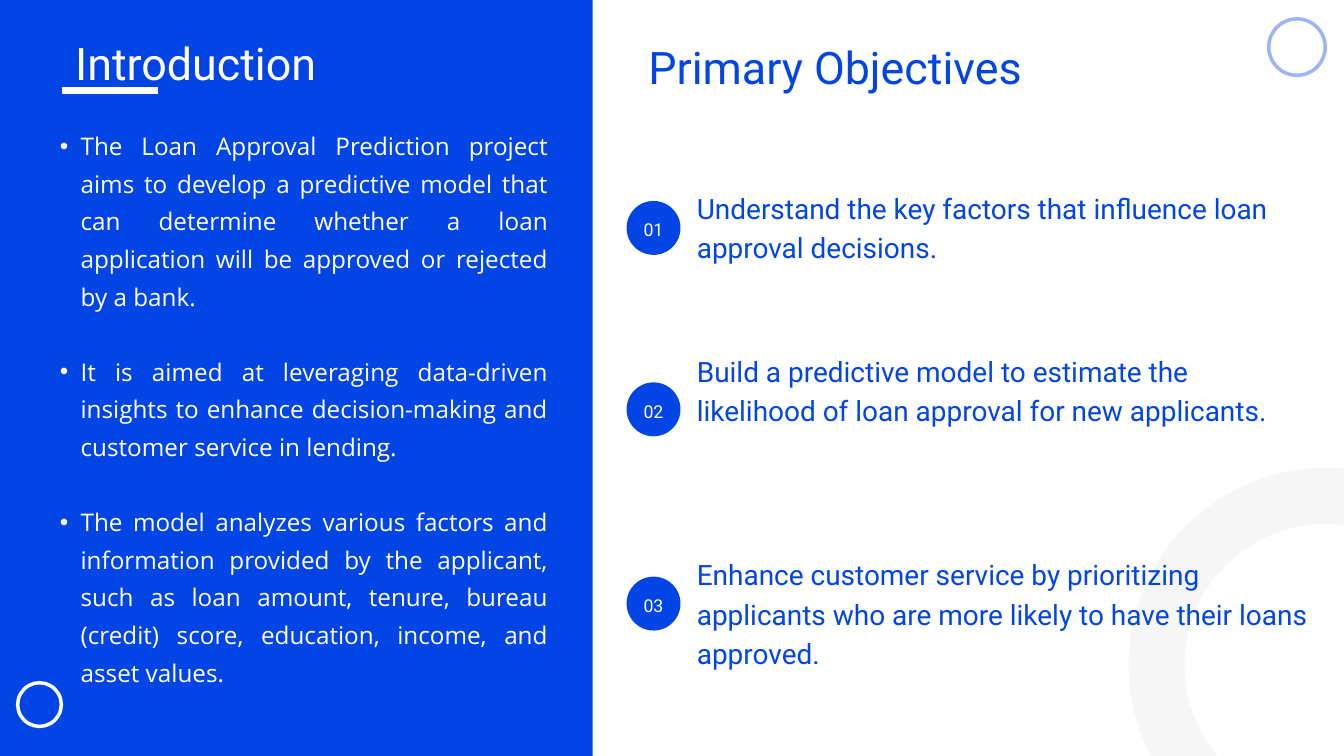
"""Build the introduction and primary objectives slide."""
from lxml.etree import SubElement
from pptx import Presentation
from pptx.dml.color import RGBColor
from pptx.enum.shapes import MSO_CONNECTOR, MSO_SHAPE
from pptx.enum.text import MSO_ANCHOR, PP_ALIGN
from pptx.oxml.ns import qn
from pptx.util import Pt

COLORS = {"blue": "0345E4", "white": "FFFFFF", "ring": "F6F6F6"}

FORMATS = {
    "title": {"name": "Roboto", "size": Pt(48)},
    "body": {"name": "Open Sans", "size": Pt(26)},
    "number": {"name": "Roboto", "size": Pt(19)},
    "objective": {"name": "Roboto", "size": Pt(30)},
}
LINE_SPACING = {"title": 67.2, "body": 40.3, "number": 26.6, "objective": 42}

INTRODUCTION = [
    "The Loan Approval Prediction project aims to develop a predictive model that can "
    "determine whether a loan application will be approved or rejected by a bank.",
    "It is aimed at leveraging data-driven insights to enhance decision-making and "
    "customer service in lending.",
    "The model analyzes various factors and information provided by the applicant, such as "
    "loan amount, tenure, bureau (credit) score, education, income, and asset values.",
]

OBJECTIVES = [
    (215.3, 199.4, 125, "Understand the key factors that influence loan approval decisions."),
    (409.7, 373.7, 163, "Build a predictive model to estimate the likelihood of loan approval "
                        "for new applicants."),
    (617.8, 591.8, 163, "Enhance customer service by prioritizing applicants who are more "
                        "likely to have their loans approved."),
]


def color(name):
    """Return the named colour as RGB."""
    return RGBColor.from_string(COLORS[name])


def set_insets(text_frame):
    """Remove the inner margins and wrap the text."""
    values = {"margin_left": 0, "margin_right": 0, "margin_top": 0, "margin_bottom": 0,
              "word_wrap": True}
    for name, value in values.items():
        setattr(text_frame, name, value)


def write_paragraph(paragraph, text, style, color_name, alignment=PP_ALIGN.LEFT):
    """Write text into a paragraph with a named style."""
    paragraph.text = text
    paragraph.alignment = alignment
    paragraph.line_spacing = Pt(LINE_SPACING[style])
    for name, value in FORMATS[style].items():
        setattr(paragraph.font, name, value)
    paragraph.font.color.rgb = color(color_name)


def add_text(slide, left, top, width, height, text, style, color_name):
    """Add a text box with one paragraph."""
    box = slide.shapes.add_textbox(Pt(left), Pt(top), Pt(width), Pt(height))
    set_insets(box.text_frame)
    write_paragraph(box.text_frame.paragraphs[0], text, style, color_name)


def add_bullets(slide, left, top, width, height, items):
    """Add a justified bullet list with a line of space between items."""
    box = slide.shapes.add_textbox(Pt(left), Pt(top), Pt(width), Pt(height))
    set_insets(box.text_frame)
    for index, item in enumerate(items):
        paragraph = box.text_frame.add_paragraph() if index else box.text_frame.paragraphs[0]
        properties = paragraph._p.get_or_add_pPr()
        properties.set("marL", str(Pt(43.9)))
        properties.set("indent", str(-Pt(22.3)))
        SubElement(properties, qn("a:buFont"), typeface="Arial")
        SubElement(properties, qn("a:buChar"), char="•")
        write_paragraph(paragraph, item, "body", "white", PP_ALIGN.JUSTIFY)
        if index:
            paragraph.space_before = Pt(LINE_SPACING["body"])


def add_filled(slide, kind, left, top, width, height):
    """Add a blue shape without outline and return it."""
    shape = slide.shapes.add_shape(kind, Pt(left), Pt(top), Pt(width), Pt(height))
    shape.shadow.inherit = False
    shape.fill.solid()
    shape.fill.fore_color.rgb = color("blue")
    shape.line.fill.background()
    return shape


def add_ring(slide, left, top, diameter, color_name, weight, opacity=100):
    """Add an unfilled circle with a coloured outline."""
    shape = slide.shapes.add_shape(MSO_SHAPE.OVAL, Pt(left), Pt(top), Pt(diameter), Pt(diameter))
    shape.shadow.inherit = False
    shape.fill.background()
    shape.line.color.rgb = color(color_name)
    shape.line.width = Pt(weight)
    if opacity < 100:
        rgb = shape.line._ln.find(".//" + qn("a:srgbClr"))
        SubElement(rgb, qn("a:alpha"), val=str(opacity * 1000))


def add_underline(slide, left, right, y):
    """Add the thick white line under the title."""
    line = slide.shapes.add_connector(MSO_CONNECTOR.STRAIGHT, Pt(left), Pt(y), Pt(right), Pt(y))
    line.line.color.rgb = color("white")
    line.line.width = Pt(7.5)
    SubElement(line._element.spPr, qn("a:effectLst"))


def add_objective(slide, number, badge_top, text_top, height, text):
    """Add a numbered badge and the objective beside it."""
    badge = add_filled(slide, MSO_SHAPE.OVAL, 671.3, badge_top, 57.8, 57.8)
    set_insets(badge.text_frame)
    badge.text_frame.vertical_anchor = MSO_ANCHOR.MIDDLE
    write_paragraph(badge.text_frame.paragraphs[0], f"{number:02}", "number", "white",
                    PP_ALIGN.CENTER)
    add_text(slide, 746.6, text_top, 655, height, text, "objective", "blue")


def main():
    """Build and save the slide."""
    presentation = Presentation()
    presentation.slide_width, presentation.slide_height = Pt(1440), Pt(810)
    slide = presentation.slides.add_slide(presentation.slide_layouts[6])
    add_filled(slide, MSO_SHAPE.RECTANGLE, 0, 0, 635, 810)
    add_underline(slide, 66.2, 169.2, 97.2)
    add_bullets(slide, 42.5, 131.8, 545, 594.7, INTRODUCTION)
    add_text(slide, 694.8, 33.1, 528.5, 64, "Primary Objectives", "title", "blue")
    add_ring(slide, 1239.1, 531.4, 362.2, "ring", 60)
    for number, objective in enumerate(OBJECTIVES, start=1):
        add_objective(slide, number, *objective)
    add_ring(slide, 1359.4, 20.2, 60.5, "blue", 3.75, opacity=40)
    add_ring(slide, 18.9, 731.5, 46.8, "white", 3.75)
    add_text(slide, 80.6, 28.8, 528.5, 64, "Introduction", "title", "white")
    presentation.save("out.pptx")


if __name__ == "__main__":
    main()
